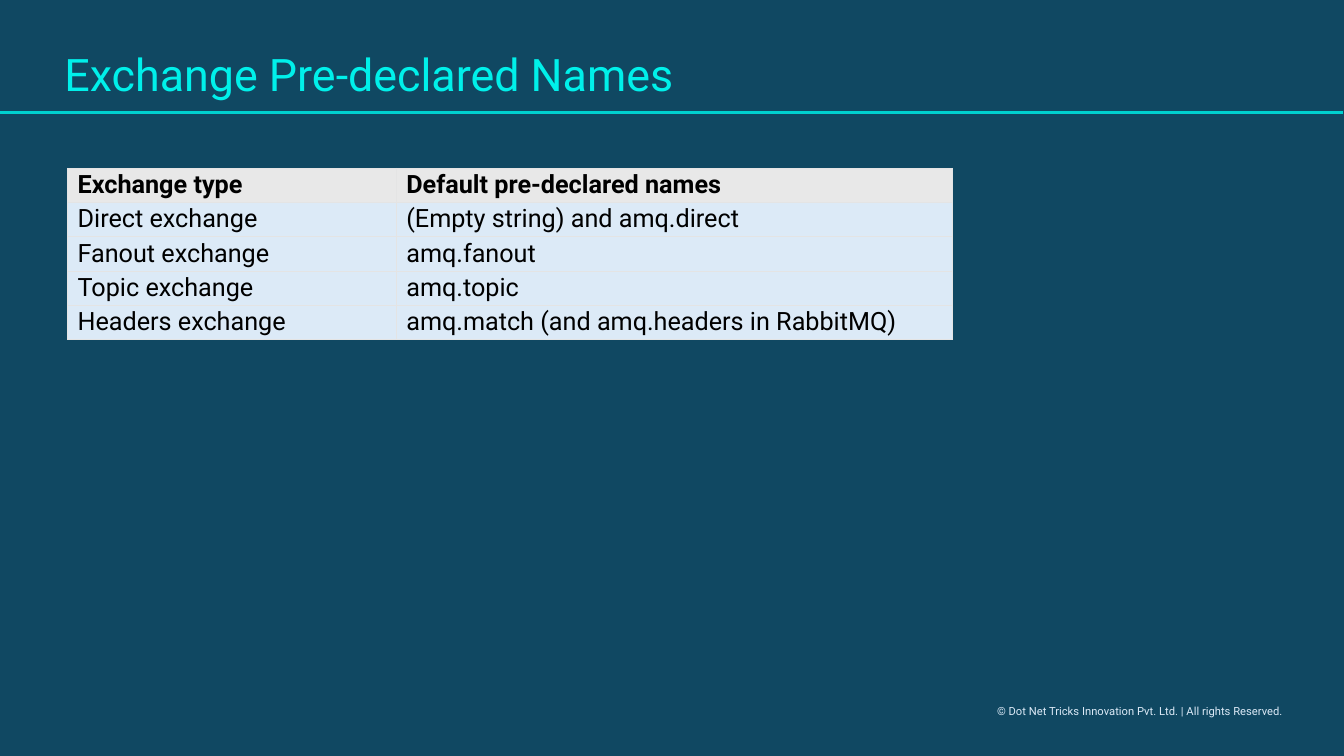
from lxml.etree import SubElement
from pptx import Presentation
from pptx.dml.color import RGBColor
from pptx.enum.shapes import MSO_CONNECTOR
from pptx.enum.text import MSO_ANCHOR
from pptx.oxml.ns import qn
from pptx.util import Inches, Pt

COLORS = {
    "background": "104862",
    "title": "00F0EA",
    "rule": "00D1CF",
    "footer": "DCEAF7",
    "header": "E8E8E8",
    "body": "DCEAF7",
    "border": "E4E4E4",
    "text": "000000",
}
ROWS = [
    ("Exchange type", "Default pre-declared names"),
    ("Direct exchange", "(Empty string) and amq.direct"),
    ("Fanout exchange", "amq.fanout"),
    ("Topic exchange", "amq.topic"),
    ("Headers exchange", "amq.match (and amq.headers in RabbitMQ)"),
]


def rgb(name):
    return RGBColor.from_string(COLORS[name])


class SlideBuilder:
    font = "Roboto"

    def __init__(self, slide):
        self.slide = slide
        fill = slide.background.fill
        fill.solid()
        fill.fore_color.rgb = rgb("background")

    def add_run(self, tf, text, color, size, bold=False):
        p = tf.paragraphs[0]
        r = p.add_run()
        r.text = text
        style = {"name": self.font, "size": Pt(size), "bold": bold}
        for key, value in style.items():
            setattr(r.font, key, value)
        r.font.color.rgb = rgb(color)
        return p

    def text(self, text, box, color, size, wrap=True, spacing=None):
        sp = self.slide.shapes.add_textbox(*map(Inches, box))
        tf = sp.text_frame
        tf.word_wrap = wrap
        tf.vertical_anchor = MSO_ANCHOR.TOP
        p = self.add_run(tf, text, color, size)
        p.line_spacing = spacing

    def line(self, start, end, color, width):
        points = map(Inches, (*start, *end))
        cxn = self.slide.shapes.add_connector(MSO_CONNECTOR.STRAIGHT, *points)
        cxn.line.color.rgb = rgb(color)
        cxn.line.width = Pt(width)
        SubElement(cxn._element.spPr, qn("a:effectLst"))

    def borders(self, cell, color, width):
        tcPr = cell._tc.get_or_add_tcPr()
        for i, side in enumerate(("lnL", "lnR", "lnT", "lnB")):
            ln = SubElement(tcPr, qn(f"a:{side}"), w=str(Pt(width)))
            fill = SubElement(ln, qn("a:solidFill"))
            SubElement(fill, qn("a:srgbClr"), val=COLORS[color])
            tcPr.insert(i, ln)

    def table(self, rows, left, top, widths, height):
        box = map(Inches, (left, top, sum(widths), height))
        table = self.slide.shapes.add_table(len(rows), len(widths), *box).table
        for column, width in zip(table.columns, widths):
            column.width = Inches(width)
        margins = {
            "margin_left": Inches(0.1),
            "margin_right": Inches(0.1),
            "margin_top": Inches(0.02),
            "margin_bottom": Inches(0.02),
        }
        for i, row in enumerate(rows):
            table.rows[i].height = Inches(height / len(rows))
            for j, text in enumerate(row):
                cell = table.cell(i, j)
                for key, value in margins.items():
                    setattr(cell, key, value)
                cell.fill.solid()
                cell.fill.fore_color.rgb = rgb("body" if i else "header")
                self.borders(cell, "border", 0.75)
                self.add_run(cell.text_frame, text, "text", 18, bold=i == 0)


def main():
    prs = Presentation()
    prs.slide_width = Inches(13.33)
    prs.slide_height = Inches(7.5)
    s = SlideBuilder(prs.slides.add_slide(prs.slide_layouts[6]))
    s.text("© Dot Net Tricks Innovation Pvt. Ltd. | All rights Reserved.",
           (9.79, 6.94, 3.05, 0.24), "footer", 8, wrap=False)
    s.line((-0.01, 1.12), (13.32, 1.12), "rule", 2)
    s.table(ROWS, 0.67, 1.67, (3.26, 5.52), 1.67)
    s.text("Exchange Pre-declared Names", (0.54, 0.47, 12.16, 0.58),
           "title", 32, spacing=0.9)
    prs.save("out.pptx")


if __name__ == "__main__":
    main()
